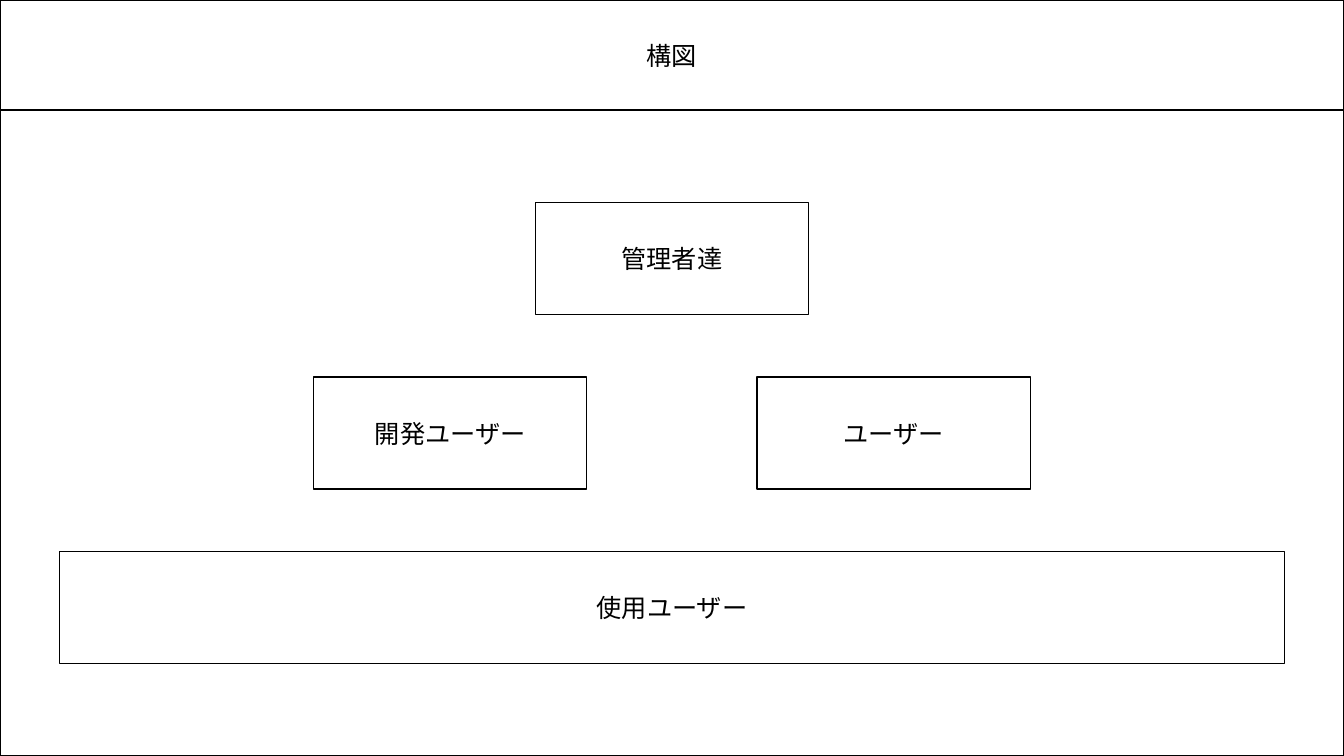
import dataclasses

import lxml.etree
import pptx
import pptx.dml.color
import pptx.enum.shapes
import pptx.enum.text
import pptx.oxml.ns
import pptx.util

Inches = pptx.util.Inches


@dataclasses.dataclass(frozen=True)
class Theme:
    font: str = "Noto Sans CJK JP"
    text_size: int = 18
    line_width: int = 1
    ink: pptx.dml.color.RGBColor = pptx.dml.color.RGBColor(0, 0, 0)


class Composer:
    """Holds the theme and the current page."""

    def __init__(self, theme, page):
        self.theme = theme
        self.page = page

    def frame(self, left, top, width, height, label=None):
        """Draw an outlined rectangle with an optional centred label."""
        box = self.page.shapes.add_shape(
            pptx.enum.shapes.MSO_SHAPE.RECTANGLE,
            Inches(left), Inches(top), Inches(width), Inches(height))
        box.shadow.inherit = False
        box.fill.background()
        box.line.color.rgb = self.theme.ink
        box.line.width = pptx.util.Pt(self.theme.line_width)
        if label:
            self.label(box, label)

    def label(self, box, text):
        text_frame = box.text_frame
        text_frame.word_wrap = True
        text_frame.vertical_anchor = pptx.enum.text.MSO_ANCHOR.MIDDLE
        para = text_frame.paragraphs[0]
        para.text = text
        para.alignment = pptx.enum.text.PP_ALIGN.CENTER
        span = para.runs[0]
        span.font.size = pptx.util.Pt(self.theme.text_size)
        span.font.color.rgb = self.theme.ink
        span.font.name = self.theme.font
        # Japanese glyphs take the East Asian typeface
        east_asian = lxml.etree.SubElement(
            span.font._element, pptx.oxml.ns.qn("a:ea"))
        east_asian.set("typeface", self.theme.font)


PAGE_WIDTH, PAGE_HEIGHT = 13.33, 7.5
HEADER_HEIGHT = 1.09
ROLE_WIDTH, ROLE_HEIGHT = 2.71, 1.11
BASE_WIDTH = 12.15
FIRST_ROW, ROW_STEP = 2.01, 1.73
SIDE_OFFSET = 2.2

deck = pptx.Presentation()
deck.slide_width = Inches(PAGE_WIDTH)
deck.slide_height = Inches(PAGE_HEIGHT)
composer = Composer(Theme(), deck.slides.add_slide(deck.slide_layouts[6]))

# Header and body panels
composer.frame(0, 0, PAGE_WIDTH, HEADER_HEIGHT, "構図")
composer.frame(0, HEADER_HEIGHT, PAGE_WIDTH, PAGE_HEIGHT - HEADER_HEIGHT)

# Hierarchy: label, row, offset from the page centre, width
roles = [
    ("管理者達", 0, 0, ROLE_WIDTH),
    ("ユーザー", 1, SIDE_OFFSET, ROLE_WIDTH),
    ("開発ユーザー", 1, -SIDE_OFFSET, ROLE_WIDTH),
    ("使用ユーザー", 2, 0, BASE_WIDTH),
]
for label, row, offset, width in roles:
    left = (PAGE_WIDTH - width) / 2 + offset
    composer.frame(left, FIRST_ROW + row * ROW_STEP, width, ROLE_HEIGHT, label)

deck.save("out.pptx")
